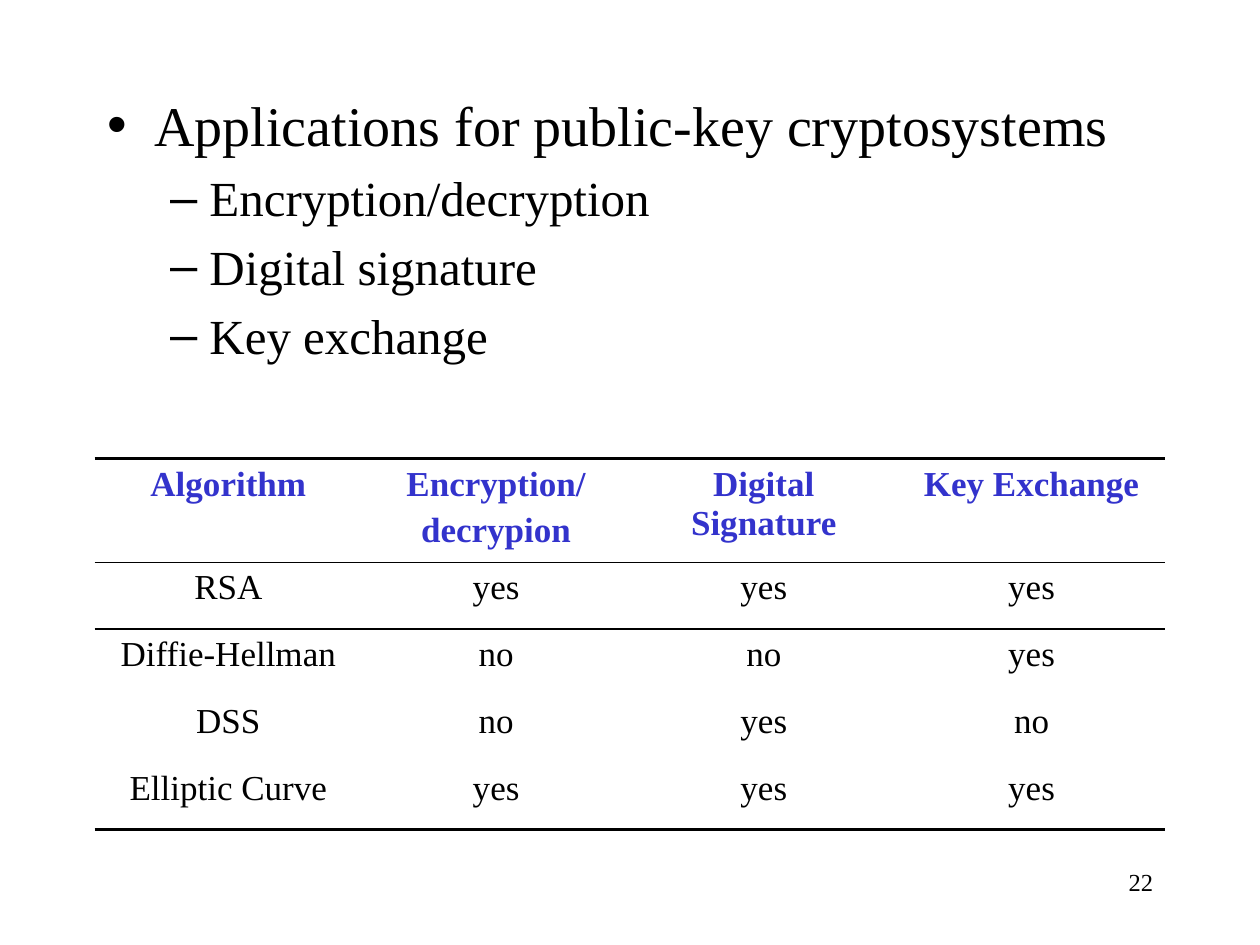
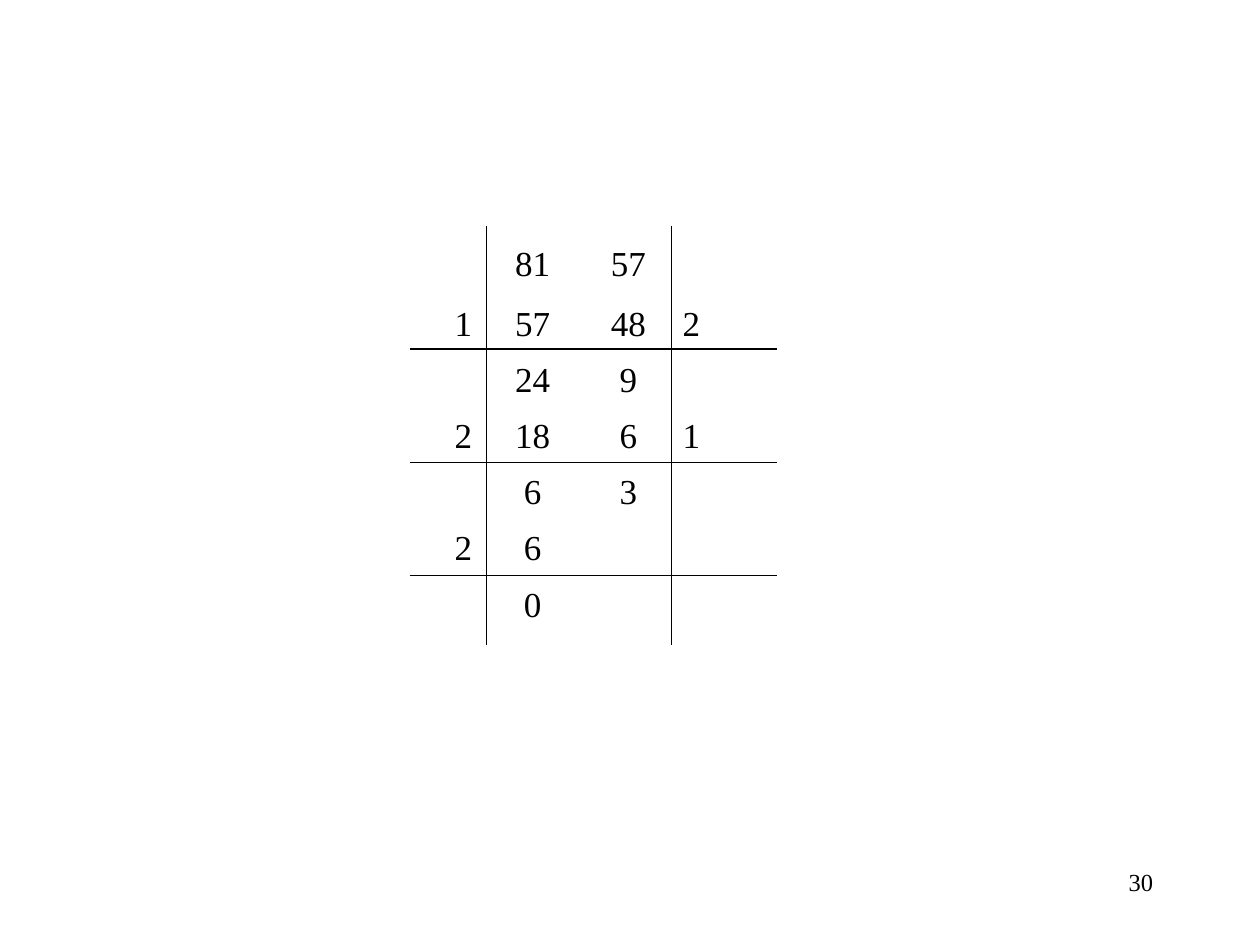
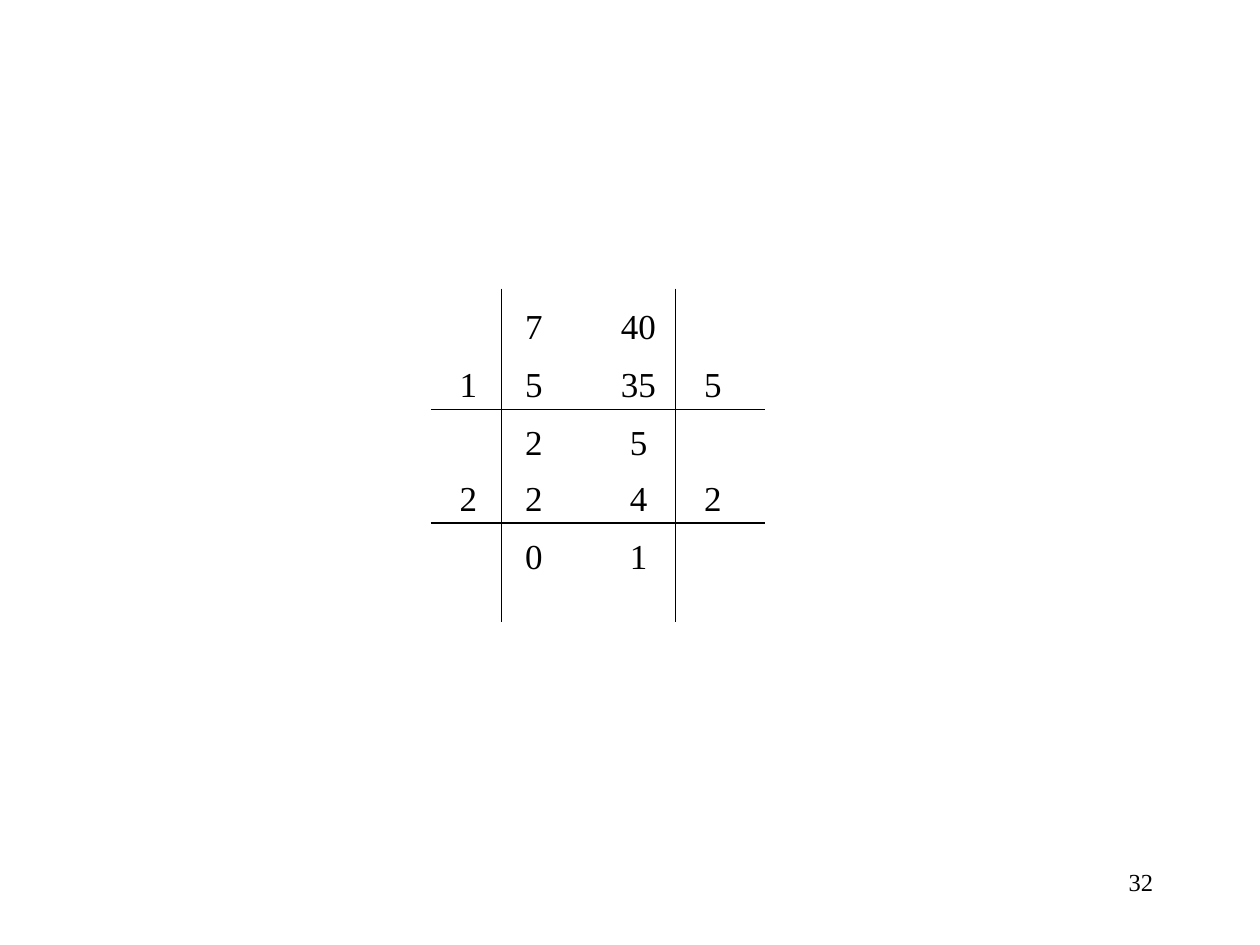
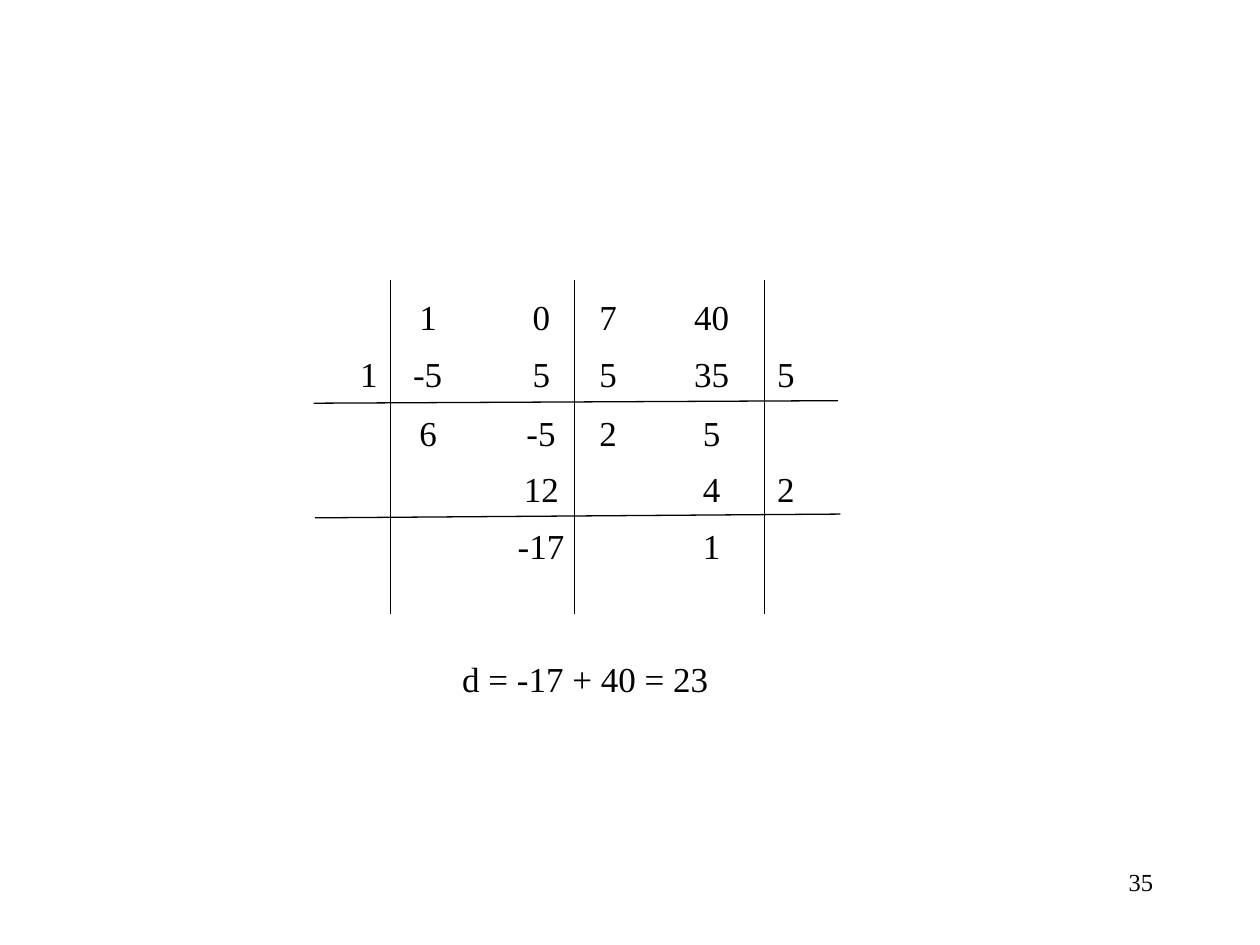
from lxml import etree
from pptx import Presentation
from pptx.dml.color import RGBColor
from pptx.enum.shapes import MSO_CONNECTOR
from pptx.enum.text import MSO_AUTO_SIZE, PP_ALIGN
from pptx.oxml.ns import qn
from pptx.util import Pt

PX = 9144
FONT = "Times New Roman"
BLACK = RGBColor(0x00, 0x00, 0x00)
BLUE = RGBColor(0x33, 0x33, 0xCC)
LEFT, CENTER, RIGHT = PP_ALIGN.LEFT, PP_ALIGN.CENTER, PP_ALIGN.RIGHT
STRAIGHT = MSO_CONNECTOR.STRAIGHT
FIT_SHAPE = MSO_AUTO_SIZE.SHAPE_TO_FIT_TEXT
CONTENT_LAYOUT, BLANK_LAYOUT = 1, 6
NO_TABLE_STYLE = "{2D5ABB26-0587-4C30-8999-92F81FD0307C}"
THICK, THIN, HAIRLINE = 2.25, 1, 0.75

APPLICATIONS = [
    ("Applications for public-key cryptosystems", 0),
    ("Encryption/decryption", 1),
    ("Digital signature", 1),
    ("Key exchange", 1),
]
ALGORITHMS = [
    ["Algorithm", "Encryption/\ndecrypion", "Digital Signature", "Key Exchange"],
    ["RSA", "yes", "yes", "yes"],
    ["Diffie-Hellman", "no", "no", "yes"],
    ["DSS", "no", "yes", "no"],
    ["Elliptic Curve", "yes", "yes", "yes"],
]
GCD_81_57 = [
    ["", "81", "57", ""],
    ["1", "57", "48", "2"],
    ["", "24", "9", ""],
    ["2", "18", "6", "1"],
    ["", "6", "3", ""],
    ["2", "6", "", ""],
    ["", "0", "", ""],
]
GCD_7_40 = [
    ["", "7", "40", ""],
    ["1", "5", "35", "5"],
    ["", "2", "5", ""],
    ["2", "2", "4", "2"],
    ["", "0", "1", ""],
]
INVERSE_7_40 = [
    ["", "1", "0", "7", "40", ""],
    ["1", "-5", "5", "5", "35", "5"],
    ["", "6", "-5", "2", "5", ""],
    ["", "", "12", "", "4", "2"],
    ["", "", "-17", "", "1", ""],
]


def box(*lengths):
    return [length * PX for length in lengths]


def write(tf, text, size=20, color=BLACK, bold=False, align=LEFT, before=0):
    for i, line in enumerate(text.split("\n")):
        p = tf.paragraphs[0] if i == 0 else tf.add_paragraph()
        p.alignment = align
        p.space_before = Pt(before)
        r = p.add_run()
        r.text = line
        r.font.name = FONT
        r.font.size = Pt(size)
        r.font.bold = bold
        r.font.color.rgb = color


def add_slide(prs, layout, number):
    s = prs.slides.add_slide(prs.slide_layouts[layout])
    tf = s.shapes.add_textbox(*box(717, 683, 208, 50)).text_frame
    tf.word_wrap = True
    write(tf, str(number), size=14, align=RIGHT)
    return s


def add_label(s, text, left, top, width):
    tf = s.shapes.add_textbox(*box(left, top, width, 44)).text_frame
    tf.word_wrap = False
    tf.auto_size = FIT_SHAPE
    write(tf, text)


def add_line(s, x1, y1, x2, y2):
    line = s.shapes.add_connector(STRAIGHT, *box(x1, y1, x2, y2))
    line.line.color.rgb = BLACK
    line.line.width = Pt(HAIRLINE)
    etree.SubElement(line._element.spPr, qn("a:effectLst"))


def add_bullets(s, items):
    s.shapes.title._element.getparent().remove(s.shapes.title._element)
    body = s.placeholders[1]
    body.left, body.top, body.width, body.height = box(75, 67, 850, 267)
    tf = body.text_frame
    for i, (text, level) in enumerate(items):
        p = tf.paragraphs[0] if i == 0 else tf.add_paragraph()
        p.level = level
        r = p.add_run()
        r.text = text
        r.font.name = FONT
        r.font.color.rgb = BLACK


def add_border(cell, side, width):
    ln = etree.SubElement(cell._tc.get_or_add_tcPr(), qn(f"a:ln{side}"), w=str(Pt(width)))
    fill = etree.SubElement(ln, qn("a:solidFill"))
    etree.SubElement(fill, qn("a:srgbClr"), val=str(BLACK))


def add_grid_table(s, rows):
    last = len(rows) - 1
    table = s.shapes.add_table(len(rows), len(rows[0]), *box(75, 364, 850, 294)).table
    table.first_row = table.horz_banding = False
    table._tbl.tblPr.find(qn("a:tableStyleId")).text = NO_TABLE_STYLE
    for i, row in enumerate(rows):
        table.rows[i].height = 53 * PX
        header = i == 0
        for j, text in enumerate(row):
            cell = table.cell(i, j)
            write(cell.text_frame, text, color=BLUE if header else BLACK,
                  bold=header, align=CENTER, before=4)
            if i <= 1:
                add_border(cell, "T", THICK if header else THIN)
            if header or i == last:
                add_border(cell, "B", THIN if header else THICK)
            cell.fill.background()


def label_width(text):
    return 20 + sum(10 if char == "-" else 14 for char in text)


def add_division(s, rows, centers, tops, lines):
    for row, top in zip(rows, tops):
        for text, center in zip(row, centers):
            if text:
                width = label_width(text)
                add_label(s, text, center - width // 2, top, width)
    for ends in lines:
        add_line(s, *ends)


def across(left, right, *ys):
    return [(left, y, right, y) for y in ys]


def down(top, bottom, *xs):
    return [(x, top, x, bottom) for x in xs]


def main():
    prs = Presentation()
    prs.slide_width, prs.slide_height = box(1000, 750)

    s = add_slide(prs, CONTENT_LAYOUT, 22)
    add_bullets(s, APPLICATIONS)
    add_grid_table(s, ALGORITHMS)

    s = add_slide(prs, BLANK_LAYOUT, 30)
    add_division(s, GCD_81_57, [368, 423, 499, 549],
                 [187, 234, 279, 323, 368, 412, 457],
                 across(325, 617, 277, 367, 457) + down(179, 512, 386, 533))

    s = add_slide(prs, BLANK_LAYOUT, 32)
    add_division(s, GCD_7_40, [372, 424, 507, 566],
                 [237, 283, 329, 373, 419],
                 across(342, 607, 325, 415) + down(229, 494, 398, 536))

    s = add_slide(prs, BLANK_LAYOUT, 35)
    add_division(s, INVERSE_7_40, [293, 340, 430, 483, 565, 624],
                 [230, 275, 322, 366, 411],
                 [(249, 320, 665, 318), (250, 411, 667, 408)]
                 + down(222, 487, 310, 456, 607))
    add_label(s, "d = -17 + 40 = 23", 357, 517, 217)

    prs.save("out.pptx")


if __name__ == "__main__":
    main()
